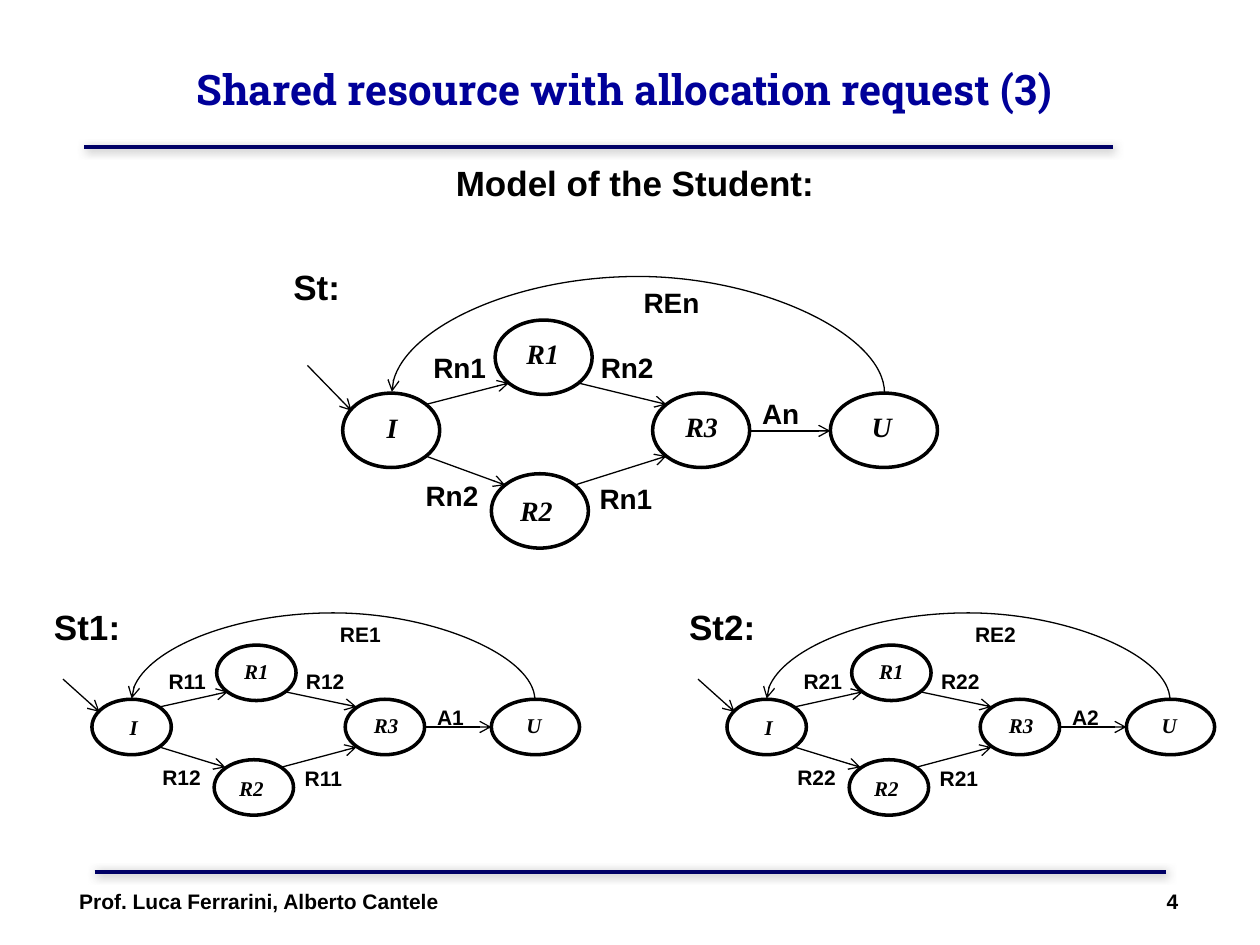
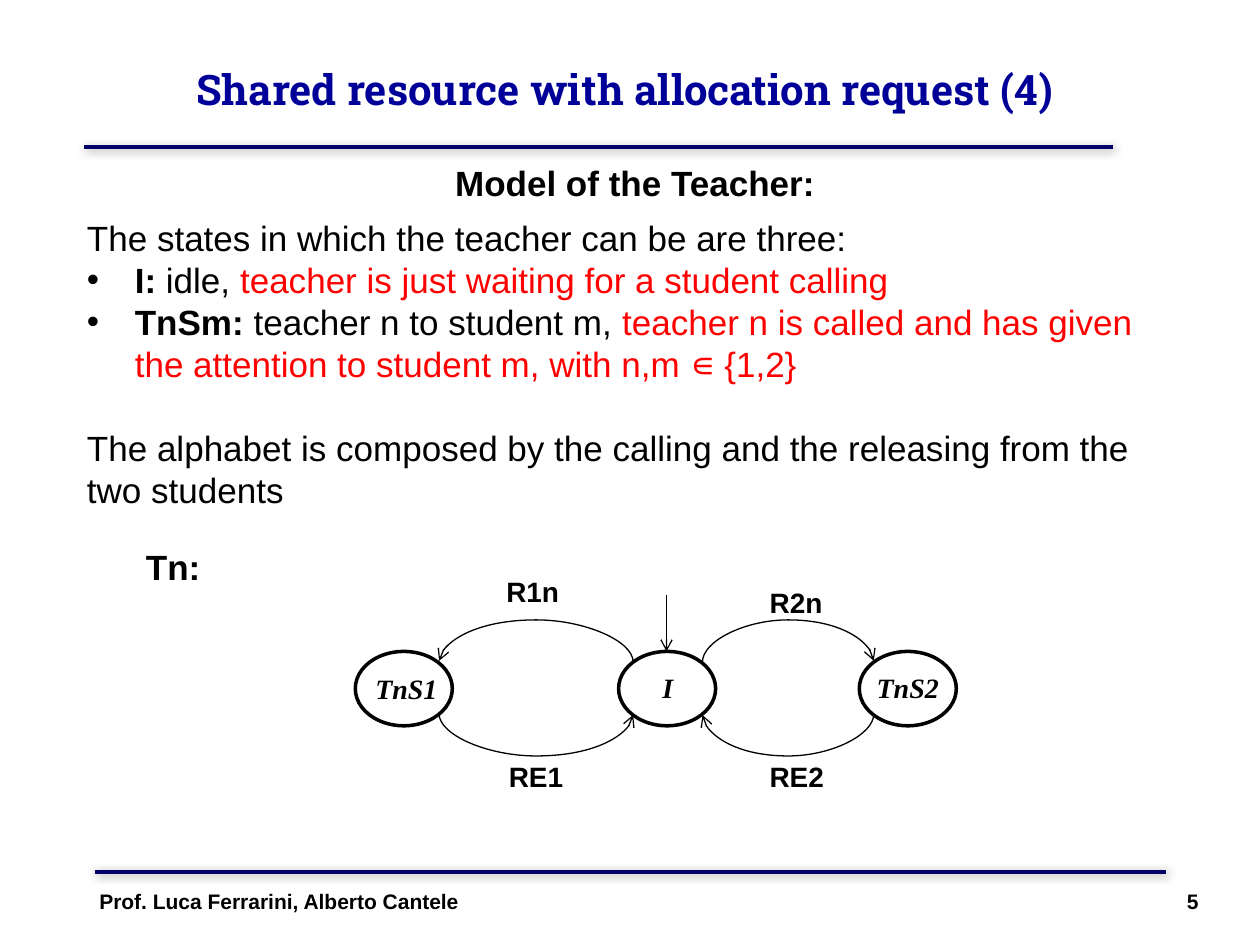
from lxml.etree import SubElement
from pptx import Presentation
from pptx.dml.color import RGBColor
from pptx.enum.shapes import MSO_CONNECTOR, MSO_SHAPE
from pptx.enum.text import MSO_ANCHOR, MSO_AUTO_SIZE, PP_ALIGN
from pptx.oxml.ns import qn
from pptx.util import Emu, Pt

# Shared look
PX = 9144  # 100 px to the inch
BLACK, WHITE, RED = "000000", "FFFFFF", "FF0000"
NAVY, BLUE, GREY = "000066", "000099", "808080"
SANS, SERIF, SLAB = "Arial", "Times New Roman", "Roboto Slab"
RULES = [(67, 117, 883), (75, 692, 925)]  # left, top, right
AUTHORS = "Prof. Luca Ferrarini, Alberto Cantele"
SITES = {"t": (.5, 0), "l": (0, .5), "r": (1, .5), "tl": (.146, .146),
         "tr": (.854, .146), "bl": (.146, .854), "br": (.854, .854)}
HIGH = 59  # state height

# Student: states as left, top, width; names and labels as text, left, top, width
STUDENT = {
    "states": {"I": (272, 312, 77), "R1": (393, 254, 77), "R2": (390, 376, 77),
               "R3": (518, 312, 77), "U": (659, 312, 85)},
    "names": [("I", 297, 321, 26), ("R1", 408, 262, 49), ("R2", 403, 387, 49),
              ("R3", 534, 320, 49), ("U", 682, 320, 39)],
    "labels": [("RE{n}", 501, 222, 70), ("R{n}1", 334, 273, 65),
               ("R{n}2", 467, 273, 63), ("R{n}2", 328, 375, 63),
               ("R{n}1", 466, 377, 65), ("A{n}", 595, 310, 59)],
    "head": ("St{k}:", 223, 206, 133),
    "start": (244, 290, 279, 326),
    "edges": [("I", "tr", "R1", "bl"), ("R1", "br", "R3", "tl"),
              ("I", "br", "R2", "tl"), ("R2", "tr", "R3", "bl"),
              ("R3", "r", "U", "l")],
    "arcs": [("U", "t", "I", "t", 94)],
}
# Copies: n, k, left and top of state I, scale across, scale down, text size
COPIES = [("n", "", 272, 312, 1, 1, 16),
          ("1", "1", 73, 555, .818, .746, 12),
          ("2", "2", 577, 555, .818, .746, 12)]

# Teacher: the last number of an arc is its rise, negative for a sag
TEACHER = {
    "states": {"TnS1": (282, 517, 77), "I": (491, 517, 77), "TnS2": (682, 517, 77)},
    "names": [("TnS1", 288, 528, 78), ("I", 516, 527, 36), ("TnS2", 686, 527, 77)],
    "labels": [("R1n", 392, 451, 65), ("R2n", 601, 460, 65),
               ("RE1", 394, 598, 63), ("RE2", 601, 598, 63)],
    "head": ("Tn:", 106, 428, 133),
    "start": (529, 472, 529, 517),
    "edges": [],
    "arcs": [("I", "tl", "TnS1", "tr", 34), ("TnS1", "br", "I", "bl", -34),
             ("I", "tr", "TnS2", "tl", 34), ("TnS2", "bl", "I", "br", -34)],
}
# Paragraphs: bullet, space before, runs of text, bold, colour
STATES = [
    (False, 0, [("The states in which the teacher can be are three:", False, BLACK)]),
    (True, 0, [("I:", True, BLACK), (" idle, ", False, BLACK),
               ("teacher is just waiting for a student calling", False, RED)]),
    (True, 0, [("TnSm: ", True, BLACK), ("teacher n to student m, ", False, BLACK),
               ("teacher n is called and has given the attention to student m, "
                "with n,m ∊ {1,2}", False, RED)]),
    (False, 24, [("The alphabet is composed by the calling and the releasing "
                  "from the two students", False, BLACK)]),
]


def px(*nums):
    return [Emu(round(n) * PX) for n in nums]


def tint(code):
    return RGBColor.from_string(code)


def style(run, size=20, face=SANS, color=BLACK, bold=True, slant=False):
    font = run.font
    font.size, font.name, font.bold, font.italic = Pt(size), face, bold, slant
    font.color.rgb = tint(color)


def text(slide, words, box, align=PP_ALIGN.LEFT, wrap=True, grow=True, **look):
    frame = slide.shapes.add_textbox(*px(*box)).text_frame
    frame.word_wrap = wrap
    if grow:
        frame.auto_size = MSO_AUTO_SIZE.SHAPE_TO_FIT_TEXT
    para = frame.paragraphs[0]
    para.alignment = align
    run = para.add_run()
    run.text = words
    style(run, **look)


def line(slide, ends, color=BLACK, width=.75, kind=MSO_CONNECTOR.STRAIGHT):
    link = slide.shapes.add_connector(kind, *px(*ends))
    link.line.color.rgb, link.line.width = tint(color), Pt(width)
    SubElement(link.element.spPr, qn("a:effectLst"))
    return link


def arrow(slide, ends, **more):
    link = line(slide, ends, **more)
    SubElement(link.line._get_or_add_ln(), qn("a:tailEnd"), type="arrow")
    return link


def arc(slide, ends, rise):
    """Curve between two points at one height, as a turned connector."""
    x1, y1, x2, y2 = ends
    link = arrow(slide, ends, kind=MSO_CONNECTOR.CURVE)
    right, up, span = x2 > x1, rise > 0, abs(x2 - x1)
    link.left, link.top, link.width, link.height = px(
        (x1 + x2) / 2, (y1 + y2 - span) / 2, 1, span)
    form = link.element.spPr.find(qn("a:xfrm"))
    form.set("rot", str((270 if right != up else 90) * 60000))
    form.set("flipH", str(int(right)))
    form.set("flipV", str(int(up)))
    geom = link.element.spPr.find(qn("a:prstGeom"))
    geom.find(qn("a:avLst")).clear()
    SubElement(geom.find(qn("a:avLst")), qn("a:gd"), name="adj1",
               fmla=f"val {round(abs(rise) * 100000)}")


def rules(deck, slide):
    """Put the two shadowed rules on the master."""
    for left, top, right in RULES:
        rule = line(slide, (left, top, right, top), NAVY, 2.25)
        glow = SubElement(rule.element.spPr.find(qn("a:effectLst")),
                          qn("a:outerShdw"), blurRad=str(Pt(5)),
                          dist=str(Pt(1.4)), dir="2700000")
        shade = SubElement(glow, qn("a:srgbClr"), val=GREY)
        SubElement(shade, qn("a:alpha"), val="75000")
        deck.slide_master.element.cSld.spTree.append(rule.element)


def page(deck, layout, name, topic, num, shift):
    """Slide with title, topic line and footer."""
    slide = deck.slides.add_slide(deck.slide_layouts[layout])
    title = slide.shapes.title
    title.left, title.top, title.width, title.height = px(75, 8, 850, 125)
    title.text_frame.vertical_anchor = MSO_ANCHOR.MIDDLE
    para = title.text_frame.paragraphs[0]
    para.alignment = PP_ALIGN.CENTER
    run = para.add_run()
    run.text = name
    style(run, 24, SLAB, BLUE)
    text(slide, topic, (59, 123, 890, 44), align=PP_ALIGN.CENTER)
    text(slide, AUTHORS, (53 + shift, 700, 400, 50), size=12, grow=False)
    text(slide, num, (845 + shift, 700, 100, 50), size=12, grow=False,
         align=PP_ALIGN.RIGHT)
    return slide


def graph(slide, plan, n="", k="", left=0, top=0, sx=1, sy=1, size=16, base=(0, 0)):
    """State graph, moved from base to left, top and scaled."""
    def move(x, y):
        return left + (x - base[0]) * sx, top + (y - base[1]) * sy

    def site(name, side):
        x, y, wide = plan["states"][name]
        fx, fy = SITES[side]
        return move(x + wide * fx, y + HIGH * fy)

    def label(item, **look):
        words, x, y, wide = item
        text(slide, words.format(n=n, k=k),
             (*move(x, y), wide * sx, 37 if size == 16 else 30), **look)

    for x, y, wide in plan["states"].values():
        oval = slide.shapes.add_shape(
            MSO_SHAPE.OVAL, *px(*move(x, y), wide * sx, HIGH * sy))
        oval.shadow.inherit = False
        oval.fill.solid()
        oval.fill.fore_color.rgb = tint(WHITE)
        oval.line.color.rgb, oval.line.width = tint(BLACK), Pt(2)
    x1, y1, x2, y2 = plan["start"]
    arrow(slide, (*move(x1, y1), *move(x2, y2)))
    for a, out, b, into in plan["edges"]:
        arrow(slide, (*site(a, out), *site(b, into)))
    for a, out, b, into, rise in plan["arcs"]:
        arc(slide, (*site(a, out), *site(b, into)), rise * sy)
    label(plan["head"])
    for item in plan["names"]:
        label(item, size=size, face=SERIF, slant=True, wrap=False)
    for item in plan["labels"]:
        label(item, size=size, wrap=False)


def body(slide, paras):
    hold = slide.placeholders[1]
    hold.left, hold.top, hold.width, hold.height = px(59, 167, 890, 246)
    frame = hold.text_frame
    frame.auto_size = MSO_AUTO_SIZE.NONE
    for i, (dot, gap, runs) in enumerate(paras):
        para = frame.add_paragraph() if i else frame.paragraphs[0]
        para.space_before, para.line_spacing = Pt(gap), Pt(24)
        props = para._p.get_or_add_pPr()
        inset = px(38)[0] if dot else 0
        props.set("marL", str(inset))
        props.set("indent", str(-inset))
        if dot:
            SubElement(props, qn("a:buChar"), char="•")
        else:
            SubElement(props, qn("a:buNone"))
        for words, bold, color in runs:
            run = para.add_run()
            run.text = words
            style(run, bold=bold, color=color)


def main():
    deck = Presentation()
    deck.slide_width, deck.slide_height = px(1000, 750)

    # Student slide
    slide = page(deck, 5, "Shared resource with allocation request (3) ",
                 "Model of the Student:", "4", 0)
    rules(deck, slide)
    for copy in COPIES:
        graph(slide, STUDENT, *copy, base=(272, 312))

    # Teacher slide
    slide = page(deck, 1, "Shared resource with allocation request (4) ",
                 "Model of the Teacher:", "5", 16)
    body(slide, STATES)
    graph(slide, TEACHER)
    deck.save("out.pptx")


if __name__ == "__main__":
    main()
